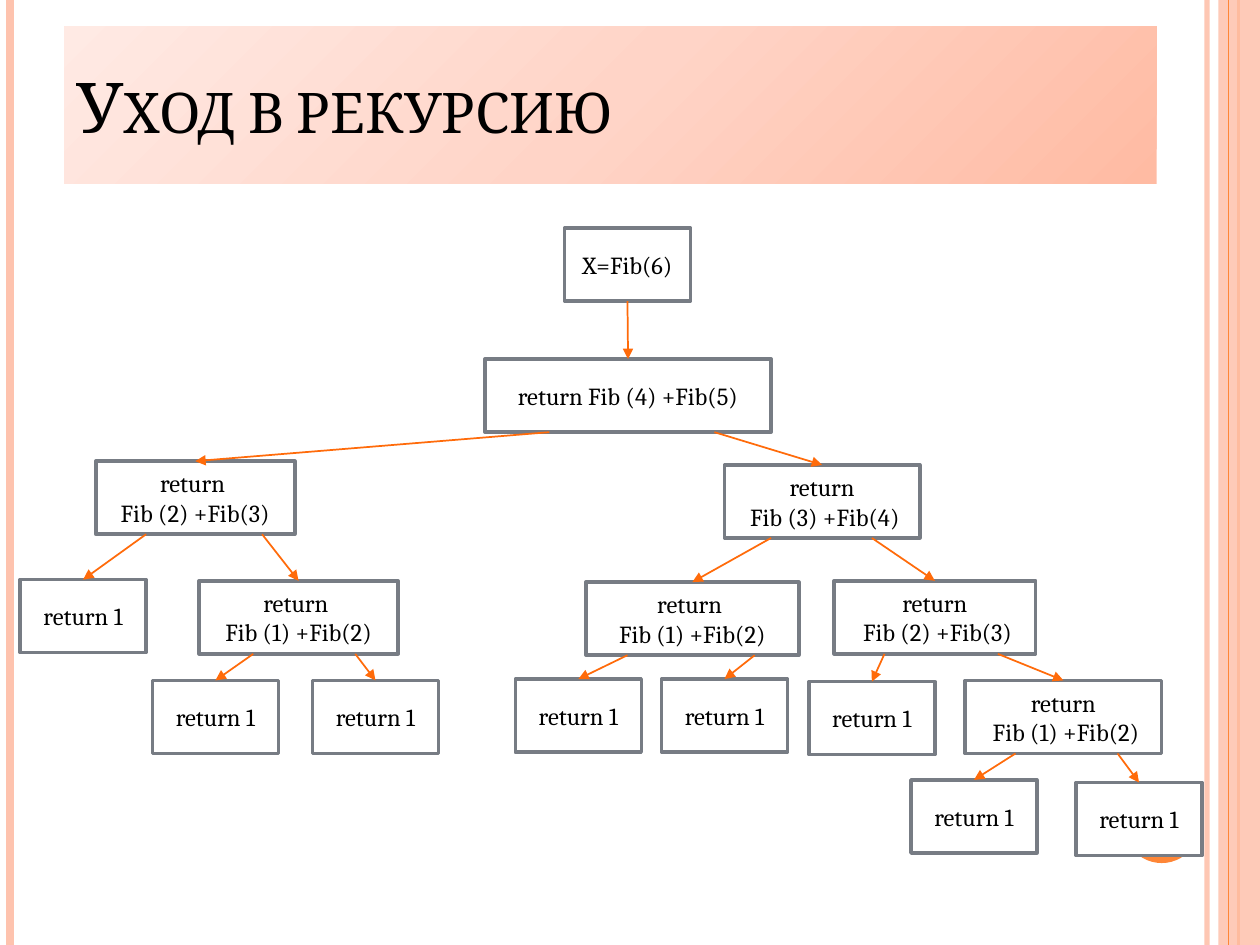
from lxml import etree
from pptx import Presentation
from pptx import util as u
from pptx.dml.color import RGBColor
from pptx.enum import shapes, text
from pptx.oxml import parse_xml
from pptx.oxml.ns import qn

Inches, Pt = u.Inches, u.Pt
COLORS = {
    "paper": "FFFFFF", "ink": "000000", "border": "777C84", "arrow": "FF6B0A",
    "accent": "FE8637", "pale": "FEC3AE",
    "grad_dark": "FFBBA3", "grad_mid": "FFD4C7", "grad_light": "FFEAE4",
}
FONT = "Cambria"
NODE_H = 0.58

# name: left, top, width, lines, parent, x where the arrow leaves the parent
NODES = {
    "start": (4.48, 1.81, 1, ["X=Fib(6)"], None, None),
    "f6": (3.85, 2.85, 2.27, ["return Fib (4) +Fib(5)"], "start", 4.98),
    "f4": (0.76, 3.66, 1.58, ["return ", "Fib (2) +Fib(3)"], "f6", 4.36),
    "f5": (5.75, 3.69, 1.55, ["return", " Fib (3) +Fib(4)"], "f6", 5.67),
    "f4_2": (0.16, 4.6, 1, ["return 1"], "f4", 1.16),
    "f4_3": (1.58, 4.61, 1.58, ["return ", "Fib (1) +Fib(2)"], "f4", 2.08),
    "f4_3_1": (1.21, 5.4, 1, ["return 1"], "f4_3", 2.01),
    "f4_3_2": (2.48, 5.4, 1, ["return 1"], "f4_3", 2.82),
    "f5_3": (4.65, 4.62, 1.69, ["return ", "Fib (1) +Fib(2)"], "f5", 6.12),
    "f5_4": (6.62, 4.61, 1.6, ["return", " Fib (2) +Fib(3)"], "f5", 6.92),
    "f5_3_1": (4.09, 5.39, 1, ["return 1"], "f5_3", 4.98),
    "f5_3_2": (5.25, 5.39, 1, ["return 1"], "f5_3", 5.99),
    "f5_4_2": (6.42, 5.41, 1, ["return 1"], "f5_4", 7.02),
    "f5_4_3": (7.66, 5.4, 1.56, ["return", " Fib (1) +Fib(2)"], "f5_4", 7.92),
    "f5_4_3_1": (7.23, 6.19, 1, ["return 1"], "f5_4_3", 8.06),
    "f5_4_3_2": (8.54, 6.21, 1, ["return 1"], "f5_4_3", 8.87),
}


def rgb(name):
    """Return the named colour."""
    return RGBColor.from_string(COLORS[name])


def set_alpha(sp, percent):
    """Set the opacity of the first solid colour of a shape."""
    color = next(sp._element.spPr.iter(qn("a:srgbClr")))
    etree.SubElement(color, qn("a:alpha")).set("val", str(percent * 1000))


def add_box(slide, box, fill, line=None, kind=shapes.MSO_SHAPE.RECTANGLE):
    """Add a flat preset shape in box (left, top, width, height)."""
    sp = slide.shapes.add_shape(kind, *map(Inches, box))
    sp.shadow.inherit = False
    sp.fill.solid()
    sp.fill.fore_color.rgb = rgb(fill)
    if line:
        sp.line.color.rgb = rgb(line)
        sp.line.width = Pt(2)
    else:
        sp.line.fill.background()
    return sp


def add_line(slide, start, end, color, width, arrow=False):
    """Add a straight line between two points, with an optional arrowhead."""
    line = slide.shapes.add_connector(
        shapes.MSO_CONNECTOR.STRAIGHT, *map(Inches, (*start, *end)))
    line.line.color.rgb = rgb(color)
    line.line.width = Pt(width)
    if arrow:
        tail = etree.SubElement(line.line._get_or_add_ln(), qn("a:tailEnd"))
        tail.set("type", "triangle")
    etree.SubElement(line._element.spPr, qn("a:effectLst"))
    return line


def add_text(sp, lines, size, align):
    """Write one paragraph per line, centred vertically."""
    tf = sp.text_frame
    tf.word_wrap = True
    tf.vertical_anchor = text.MSO_ANCHOR.MIDDLE
    tf.text = "\n".join(lines)
    for p in tf.paragraphs:
        p.alignment = align
        p.font.size = Pt(size)
        p.font.name = FONT
        p.font.color.rgb = rgb("ink")
    return tf


def add_frame(slide, width, height):
    """Draw the stripes at both edges and the page disc."""
    def stripe(x, color, weight):
        return add_line(slide, (x, 0), (x, height), color, weight)

    set_alpha(stripe(width - 0.42, "pale", 3), 93)
    stripe(0.08, "pale", 4.5)
    stripe(width - 0.17, "accent", 1.5)
    set_alpha(add_box(slide, (width - 0.33, 0, 0.33, height), "pale"), 87)
    stripe(width - 0.25, "accent", 0.75)
    add_box(slide, (width - 1.08, height - 1.25, 0.6, 0.6), "accent",
            kind=shapes.MSO_SHAPE.OVAL)


def add_title(slide, box, title):
    """Draw the title band with a diagonal gradient and small caps."""
    sp = add_box(slide, box, "grad_mid")
    stops = "".join(
        f'<a:gs pos="{pos * 1000}"><a:srgbClr val="{COLORS[name]}"/></a:gs>'
        for pos, name in ((0, "grad_dark"), (50, "grad_mid"), (100, "grad_light")))
    grad = parse_xml(
        '<a:gradFill xmlns:a="http://schemas.openxmlformats.org/drawingml/2006/main"'
        f' rotWithShape="1"><a:gsLst>{stops}</a:gsLst>'
        f'<a:lin ang="{225 * 60000}" scaled="0"/></a:gradFill>')
    spPr = sp._element.spPr
    spPr.replace(spPr.find(qn("a:solidFill")), grad)
    tf = add_text(sp, [title], 40, text.PP_ALIGN.LEFT)
    r = tf.paragraphs[0].runs[0]
    r._r.get_or_add_rPr().set("cap", "small")


def add_tree(slide, origin, nodes):
    """Draw the call tree shifted by origin: boxes, then arrows."""
    dx, dy = origin
    for left, top, width, lines, _, _ in nodes.values():
        sp = add_box(slide, (dx + left, dy + top, width, NODE_H), "paper", "border")
        add_text(sp, lines, 14, text.PP_ALIGN.CENTER)
    for left, top, width, _, parent, x in nodes.values():
        if parent:
            bottom = nodes[parent][1] + NODE_H
            add_line(slide, (dx + x, dy + bottom), (dx + left + width / 2, dy + top),
                     "arrow", 1, arrow=True)


def main():
    """Build and save the slide."""
    prs = Presentation()
    prs.slide_width, prs.slide_height = Inches(10), Inches(7.5)
    s = prs.slides.add_slide(prs.slide_layouts[6])
    add_frame(s, 10, 7.5)
    add_title(s, (0.51, 0.21, 8.67, 1.25), "Уход в рекурсию")
    add_tree(s, (0, 0), NODES)
    prs.save("out.pptx")


main()
